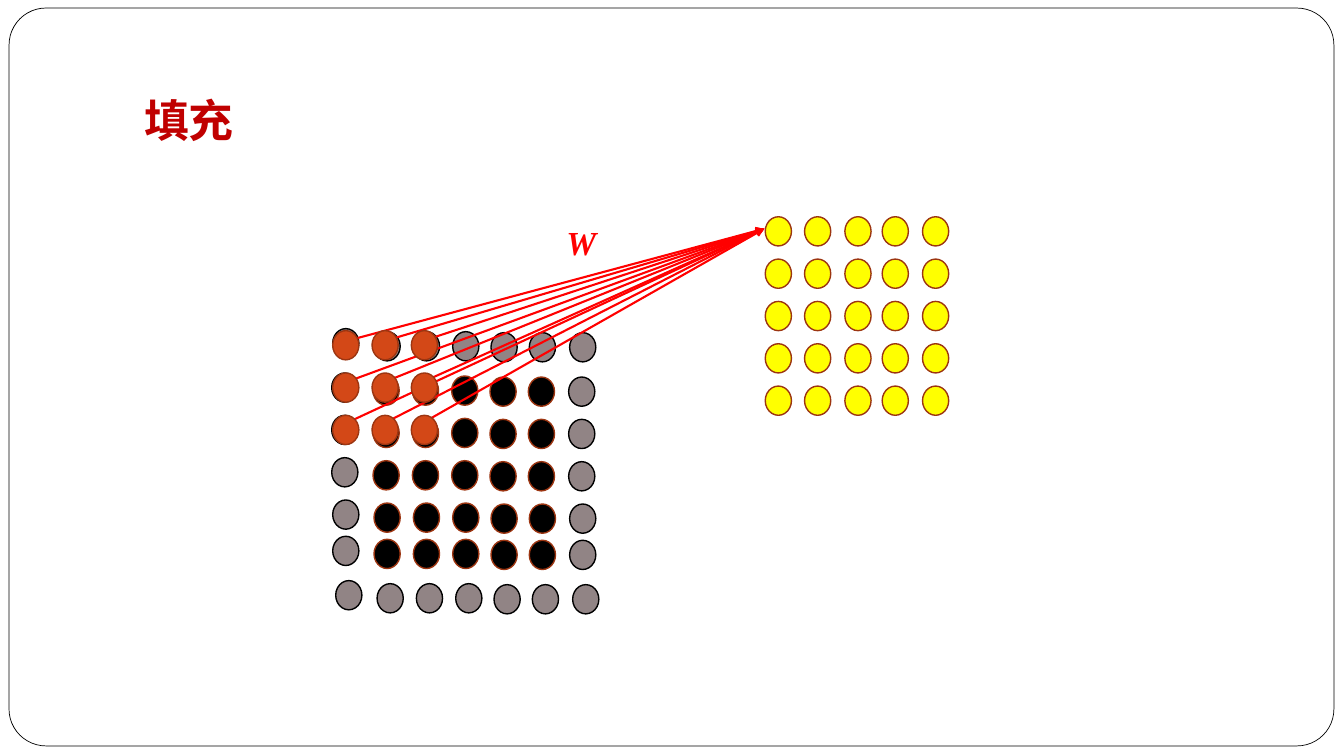
from dataclasses import dataclass
from typing import Any, Optional

from lxml.etree import SubElement
from pptx import Presentation
from pptx.dml.color import RGBColor
from pptx.enum.shapes import MSO_CONNECTOR, MSO_SHAPE
from pptx.enum.text import MSO_ANCHOR, MSO_AUTO_SIZE, PP_ALIGN
from pptx.oxml.ns import qn
from pptx.util import Inches, Pt

COLOURS = {
    "white": "FFFFFF",
    "black": "000000",
    "title": "C00000",
    "padding": "918485",
    "window": "D34817",
    "output": "FFFF00",
    "rim": "9C3511",
    "weight": "FF0000",
}
FONT = "Times New Roman"
DOT_WIDTH, DOT_HEIGHT = 0.26, 0.29
ROW_STEP = 0.42


@dataclass(frozen=True)
class Dot:
    left: float
    top: float
    fill: str
    line: str = "rim"


@dataclass(frozen=True)
class Arrow:
    start: tuple[float, float]
    end: tuple[float, float]


def colour(name: str) -> RGBColor:
    return RGBColor.from_string(COLOURS[name])


def style_shape(shape: Any, fill: str, line: str, width: float) -> None:
    shape.shadow.inherit = False
    shape.fill.solid()
    shape.fill.fore_color.rgb = colour(fill)
    shape.line.color.rgb = colour(line)
    shape.line.width = Pt(width)


def draw_dot(shapes: Any, dot: Dot) -> None:
    circle = shapes.add_shape(MSO_SHAPE.OVAL, Inches(dot.left), Inches(dot.top),
                              Inches(DOT_WIDTH), Inches(DOT_HEIGHT))
    style_shape(circle, dot.fill, dot.line, 1)


def draw_arrow(shapes: Any, arrow: Arrow) -> None:
    points = [Inches(value) for value in (*arrow.start, *arrow.end)]
    connector = shapes.add_connector(MSO_CONNECTOR.STRAIGHT, *points)
    connector.line.color.rgb = colour("weight")
    connector.line.width = Pt(1.5)
    SubElement(connector.line._get_or_add_ln(), qn("a:tailEnd"), type="triangle")
    SubElement(connector.element.spPr, qn("a:effectLst"))


def write_text(box: Any, text: str, *, size: float, color: str,
               bold: bool = True, italic: Optional[bool] = None) -> None:
    para = box.text_frame.paragraphs[0]
    para.alignment = PP_ALIGN.LEFT
    span = para.add_run()
    span.text = text
    span.font.name = FONT
    span.font.size = Pt(size)
    span.font.bold = bold
    span.font.italic = italic
    span.font.color.rgb = colour(color)


def padded_input() -> tuple[list[Dot], list[Dot]]:
    """Return the 5 x 5 inner dots and the ring of padding around them."""
    columns = [3.29, 3.7, 4.09, 4.48, 4.86, 5.24, 5.64]
    rows = [3.29, 3.73, 4.15, 4.57, 4.99, 5.35, 5.79]
    row_shifts = [0.01, 0, 0, 0, 0.01, 0.01, 0.04]
    column_drops = [-0.03, 0, 0, 0, 0.01, 0.01, 0.01]
    inner, ring = [], []
    for row, (top, shift) in enumerate(zip(rows, row_shifts)):
        for column, (left, drop) in enumerate(zip(columns, column_drops)):
            place = (left + shift, top + drop)
            if row in (0, 6) or column in (0, 6):
                ring.append(Dot(*place, "padding", "black"))
            else:
                inner.append(Dot(*place, "black"))
    return inner, ring


def even_rows(columns: list[float], top: float, rows: int, fill: str) -> list[Dot]:
    return [Dot(left, top + row * ROW_STEP, fill)
            for row in range(rows) for left in columns]


def main() -> None:
    deck = Presentation()
    deck.slide_width, deck.slide_height = Inches(13.33), Inches(7.5)
    page = deck.slides.add_slide(deck.slide_layouts[5])

    # Title
    title = page.shapes.title
    title.left, title.top = Inches(1.33), Inches(0.3)
    title.width, title.height = Inches(11.33), Inches(1.25)
    frame = title.text_frame
    frame.auto_size = MSO_AUTO_SIZE.NONE
    frame.vertical_anchor = MSO_ANCHOR.BOTTOM
    frame.margin_left = frame.margin_right = frame.margin_bottom = Inches(0.1)
    frame.margin_top = Inches(0.05)
    write_text(title, "填充", size=32, color="title")

    # Rounded page border, behind the title
    border = page.shapes.add_shape(MSO_SHAPE.ROUNDED_RECTANGLE, Inches(0.09),
                                   Inches(0.08), Inches(13.14), Inches(7.32))
    border.adjustments[0] = 0.05
    style_shape(border, "white", "black", 0.5)
    title.element.addprevious(border.element)

    # Input map with its padding
    inner, ring = padded_input()
    for dot in inner:
        draw_dot(page.shapes, dot)
    padding = page.shapes.add_group_shape().shapes
    for dot in ring:
        draw_dot(padding, dot)

    # Filter window: weights lead from each dot to the first output
    window = even_rows([3.3, 3.69, 4.08], 3.28, 3, "window")
    kernel = page.shapes.add_group_shape().shapes
    for dot in window:
        draw_arrow(kernel, Arrow((dot.left, dot.top + 0.14), (7.58, 2.27)))
    label = kernel.add_textbox(Inches(5.52), Inches(2.15), Inches(0.65), Inches(0.5))
    label.text_frame.word_wrap = True
    label.text_frame.auto_size = MSO_AUTO_SIZE.SHAPE_TO_FIT_TEXT
    write_text(label, "W", size=24, color="weight", italic=True)
    for dot in window:
        draw_dot(kernel, dot)

    # Output map
    output = page.shapes.add_group_shape().shapes
    for dot in even_rows([7.59, 7.98, 8.38, 8.75, 9.15], 2.15, 5, "output"):
        draw_dot(output, dot)

    deck.save("out.pptx")


if __name__ == "__main__":
    main()
